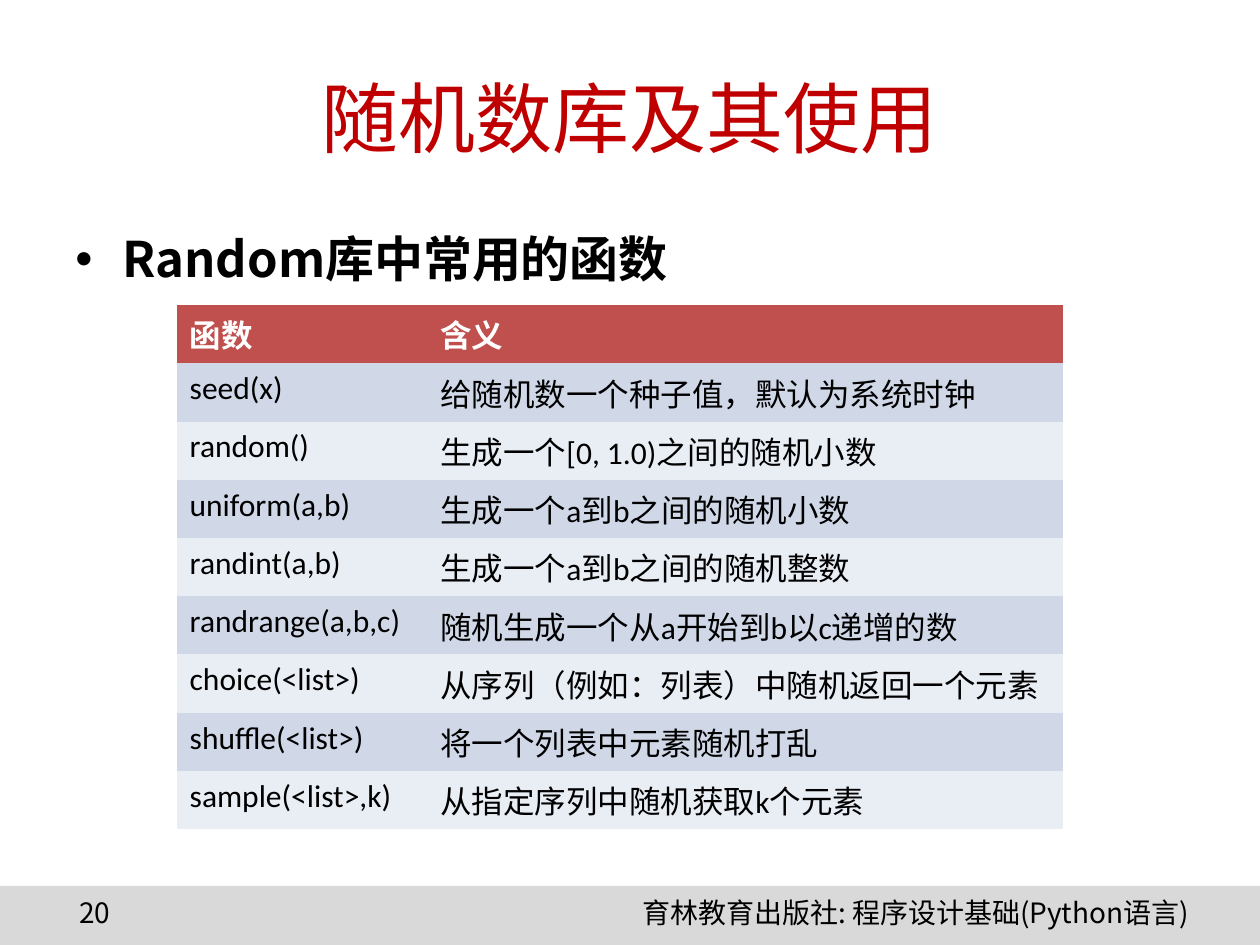
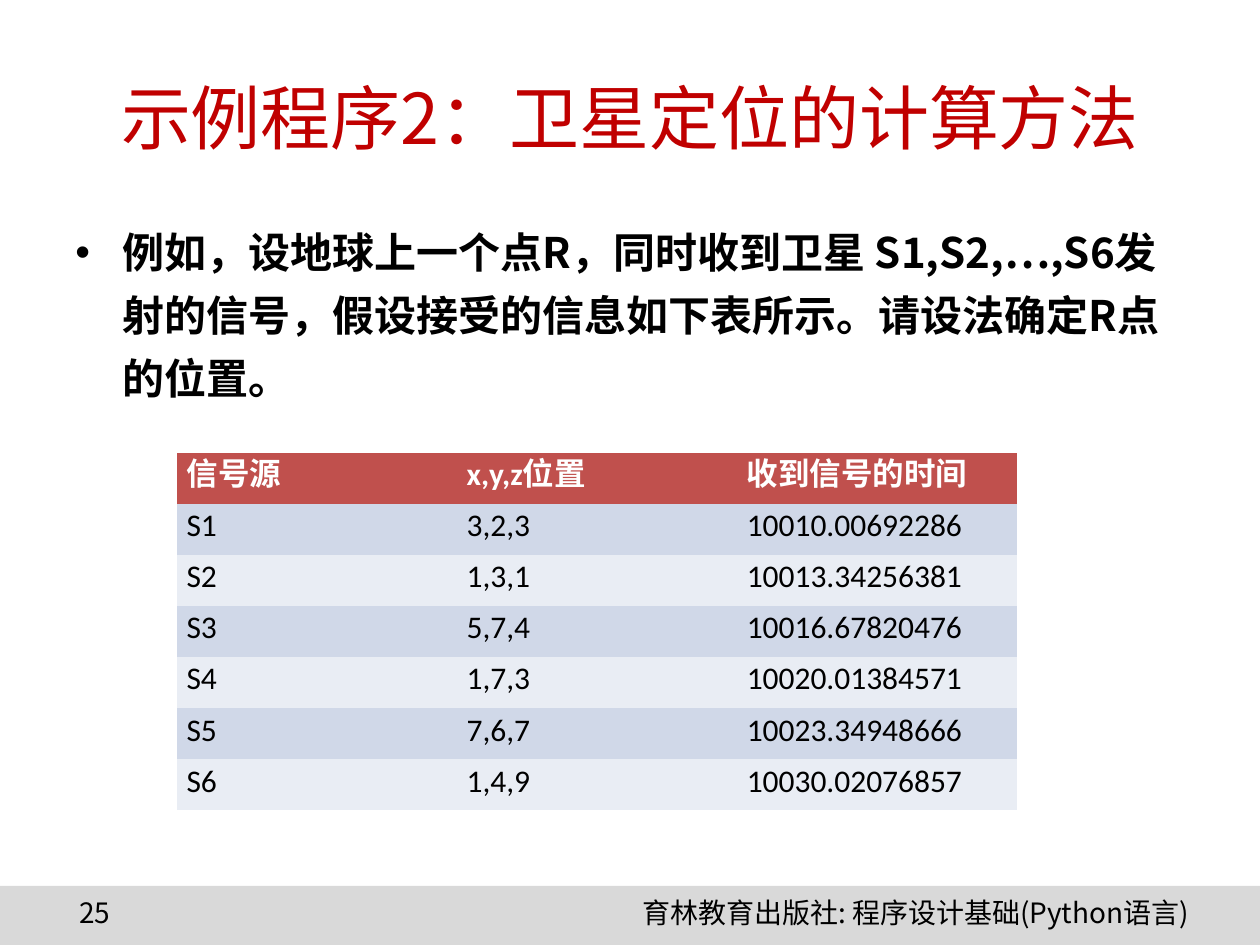
from dataclasses import dataclass

from lxml.etree import SubElement
from pptx import Presentation
from pptx.dml.color import RGBColor
from pptx.enum.shapes import MSO_SHAPE
from pptx.enum.text import MSO_ANCHOR, PP_ALIGN
from pptx.oxml.ns import qn
from pptx.slide import Slide
from pptx.text.text import TextFrame
from pptx.util import Pt

HUES = {
    "title": "C00000",
    "text": "000000",
    "band": "D9D9D9",
    "head": "C0504D",
    "light": "FFFFFF",
    "odd": "D0D8E8",
    "even": "E9EDF4",
}
SANS = "Noto Sans CJK SC"
LATIN = "Calibri"
PLAIN = "{2D5ABB26-0587-4C30-8999-92F81FD0307C}"
FOOTER = "育林教育出版社: 程序设计基础(Python语言)"


@dataclass(frozen=True)
class Box:
    left: float
    top: float
    width: float
    height: float

    def place(self) -> tuple[int, ...]:
        return tuple(Pt(n) for n in (self.left, self.top, self.width, self.height))


@dataclass(frozen=True)
class Style:
    size: float
    hue: str = "text"
    bold: bool = False
    font: str = SANS
    align: PP_ALIGN = PP_ALIGN.LEFT


@dataclass(frozen=True)
class Grid:
    top: float
    widths: tuple[float, ...]
    height: float
    rows: tuple[tuple[str, ...], ...]
    inset: float = 7.2
    anchor: MSO_ANCHOR = MSO_ANCHOR.TOP
    pitch: float | None = None


@dataclass(frozen=True)
class Page:
    number: int
    title: str
    title_size: float
    point: str
    point_size: float
    grid: Grid


BAND = Box(0, 506.2, 720, 33.8)
NUMBER = Box(38.2, 508.3, 98, 28.8)
SOURCE = Box(234, 508.3, 452.2, 28.8)
TITLE = Box(36, 21.6, 648, 90)
BODY = Box(36, 118.8, 648, 369)
LEFT = 101.2

PAGES = (
    Page(20, "随机数库及其使用", 44, "Random库中常用的函数", 28, Grid(
        174.3, (143.3, 362.9), 33.3, (
            ("函数", "含义"),
            ("seed(x)", "给随机数一个种子值，默认为系统时钟"),
            ("random()", "生成一个[0, 1.0)之间的随机小数"),
            ("uniform(a,b)", "生成一个a到b之间的随机小数"),
            ("randint(a,b)", "生成一个a到b之间的随机整数"),
            ("randrange(a,b,c)", "随机生成一个从a开始到b以c递增的数"),
            ("choice(<list>)", "从序列（例如：列表）中随机返回一个元素"),
            ("shuffle(<list>)", "将一个列表中元素随机打乱"),
            ("sample(<list>,k)", "从指定序列中随机获取k个元素"),
        ))),
    Page(25, "示例程序2：卫星定位的计算方法", 40,
         "例如，设地球上一个点R，同时收到卫星 S1,S2,…,S6发射的信号，"
         "假设接受的信息如下表所示。请设法确定R点的位置。", 24, Grid(
             258.7, (160.1,) * 3, 29.2, (
                 ("信号源", "x,y,z位置", "收到信号的时间"),
                 ("S1", "3,2,3", "10010.00692286"),
                 ("S2", "1,3,1", "10013.34256381"),
                 ("S3", "5,7,4", "10016.67820476"),
                 ("S4", "1,7,3", "10020.01384571"),
                 ("S5", "7,6,7", "10023.34948666"),
                 ("S6", "1,4,9", "10030.02076857"),
             ), 5.4, MSO_ANCHOR.MIDDLE, 18)),
)


def color(name: str) -> RGBColor:
    return RGBColor.from_string(HUES[name])


def write(frame: TextFrame, text: str, style: Style) -> None:
    frame.text = text
    para = frame.paragraphs[0]
    para.alignment = style.align
    for run in para.runs:
        font = run.font
        font.size = Pt(style.size)
        font.bold = style.bold
        font.color.rgb = color(style.hue)
        font.name = style.font
        SubElement(font._element, qn("a:ea"), typeface=SANS)


def add_text(slide: Slide, box: Box, text: str, style: Style,
             anchor: MSO_ANCHOR = MSO_ANCHOR.TOP) -> TextFrame:
    frame = slide.shapes.add_textbox(*box.place()).text_frame
    frame.word_wrap = True
    frame.vertical_anchor = anchor
    write(frame, text, style)
    return frame


def add_point(slide: Slide, text: str, size: float) -> None:
    frame = add_text(slide, BODY, text, Style(size, bold=True))
    para = frame.paragraphs[0]
    para.line_spacing = 1.25
    props = para._p.get_or_add_pPr()
    props.set("marL", str(Pt(27)))
    props.set("indent", str(-Pt(27)))
    SubElement(props, qn("a:buFont"), typeface="Arial")
    SubElement(props, qn("a:buChar"), char="•")


def add_grid(slide: Slide, grid: Grid) -> None:
    count = len(grid.rows)
    box = Box(LEFT, grid.top, sum(grid.widths), grid.height * count)
    shape = slide.shapes.add_table(count, len(grid.widths), *box.place())
    for mark in shape._element.iter(qn("a:tableStyleId")):
        mark.text = PLAIN
    table = shape.table
    for column, width in zip(table.columns, grid.widths):
        column.width = Pt(width)
    for index, (row, texts) in enumerate(zip(table.rows, grid.rows)):
        row.height = Pt(grid.height)
        head = index == 0
        fill = "head" if head else "odd" if index % 2 else "even"
        style = Style(18, "light" if head else "text", head, LATIN)
        for cell, text in zip(row.cells, texts):
            cell.fill.solid()
            cell.fill.fore_color.rgb = color(fill)
            cell.margin_left = cell.margin_right = Pt(grid.inset)
            cell.vertical_anchor = grid.anchor
            write(cell.text_frame, text, style)
            if grid.pitch:
                cell.text_frame.paragraphs[0].line_spacing = Pt(grid.pitch)


def add_footer(slide: Slide, number: int) -> None:
    band = slide.shapes.add_shape(MSO_SHAPE.RECTANGLE, *BAND.place())
    band.shadow.inherit = False
    band.fill.solid()
    band.fill.fore_color.rgb = color("band")
    band.line.fill.background()
    add_text(slide, SOURCE, FOOTER, Style(16, align=PP_ALIGN.RIGHT))
    add_text(slide, NUMBER, str(number), Style(16))


def main() -> None:
    deck = Presentation()
    deck.slide_width, deck.slide_height = Pt(720), Pt(540)
    for page in PAGES:
        slide = deck.slides.add_slide(deck.slide_layouts[6])
        add_footer(slide, page.number)
        add_text(slide, TITLE, page.title,
                 Style(page.title_size, "title", align=PP_ALIGN.CENTER),
                 MSO_ANCHOR.MIDDLE)
        add_point(slide, page.point, page.point_size)
        add_grid(slide, page.grid)
    deck.save("out.pptx")


if __name__ == "__main__":
    main()
